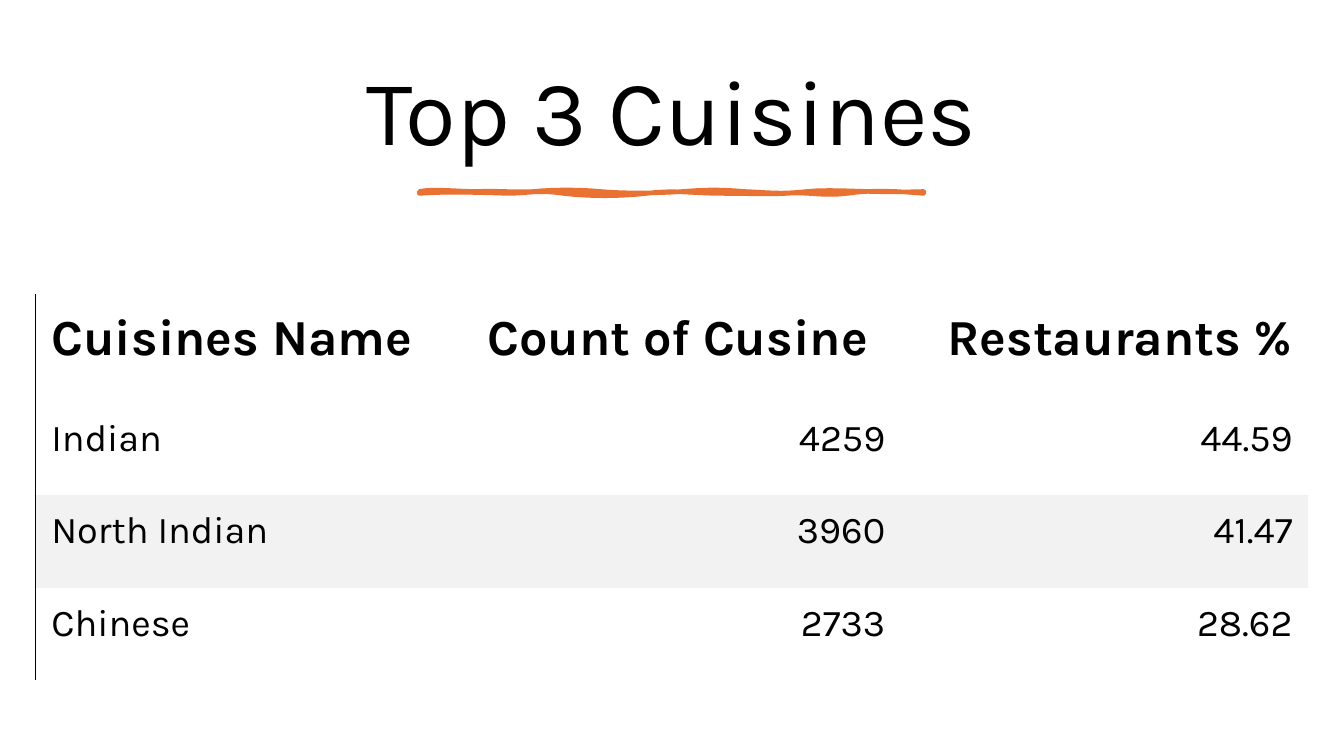
from lxml.etree import SubElement
from pptx import Presentation
from pptx.dml.color import RGBColor
from pptx.enum.text import MSO_ANCHOR, PP_ALIGN
from pptx.oxml.ns import qn
from pptx.util import Inches, Pt

COLORS = {"text": "000000", "accent": "E97132", "band": "F2F2F2"}
FONT = "Karla"
NO_STYLE_NO_GRID = "{2D5ABB26-0587-4C30-8999-92F81FD0307C}"

TITLE = "Top 3 Cuisines"
ROWS = [
    ("Cuisines Name", "Count of Cusine", "Restaurants %"),
    ("Indian", "4259", "44.59"),
    ("North Indian", "3960", "41.47"),
    ("Chinese", "2733", "28.62"),
]
BANDED_ROW = 2
COLUMN_WIDTHS = (4.15, 4.43, 4.04)
ROW_HEIGHTS = (1.07, 0.92, 0.92, 0.92)
HEADER_ALIGNS = (PP_ALIGN.LEFT, PP_ALIGN.CENTER, PP_ALIGN.RIGHT)
BODY_ALIGNS = (PP_ALIGN.LEFT, PP_ALIGN.RIGHT, PP_ALIGN.RIGHT)
CELL_FORMAT = {
    "margin_left": Inches(0.16), "margin_top": Inches(0.05),
    "margin_right": Inches(0.15), "margin_bottom": Inches(0.34),
    "vertical_anchor": MSO_ANCHOR.BOTTOM,
}

# Hand-drawn underline: each curve is two control points and an end point
BRUSH_START = (4.16, 1.9)
BRUSH_OUTLINE = [
    (4.28, 1.87, 4.54, 1.9, 4.73, 1.9), (4.92, 1.89, 5.09, 1.91, 5.29, 1.9),
    (5.49, 1.88, 5.74, 1.88, 5.96, 1.9), (6.17, 1.92, 6.53, 1.92, 6.77, 1.9),
    (7.02, 1.88, 7.14, 1.88, 7.39, 1.9), (7.63, 1.91, 7.74, 1.93, 8, 1.9),
    (8.26, 1.87, 8.67, 1.92, 9.16, 1.9), (9.17, 1.91, 9.16, 1.91, 9.16, 1.92),
    (8.95, 1.9, 8.65, 1.88, 8.4, 1.92), (8.15, 1.95, 8.01, 1.9, 7.79, 1.92),
    (7.56, 1.93, 7.47, 1.92, 7.17, 1.92), (6.87, 1.92, 6.67, 1.88, 6.41, 1.92),
    (6.14, 1.95, 5.85, 1.95, 5.59, 1.92), (5.34, 1.88, 5.23, 1.92, 5.03, 1.92),
    (4.83, 1.91, 4.38, 1.9, 4.16, 1.92), (4.16, 1.91, 4.16, 1.9, 4.16, 1.9),
]
BRUSH_STEPS = 8


def color(name):
    return RGBColor.from_string(COLORS[name])


def set_text(text_frame, text, size, align, bold=False):
    paragraph = text_frame.paragraphs[0]
    paragraph.alignment = align
    run = paragraph.add_run()
    run.text = text
    for name, value in {"name": FONT, "size": Pt(size), "bold": bold}.items():
        setattr(run.font, name, value)
    run.font.color.rgb = color("text")
    return paragraph


def curve_points(start, curves):
    """Sample the chain of cubic curves as points in EMU."""
    points = []
    x0, y0 = start
    for x1, y1, x2, y2, x3, y3 in curves:
        for step in range(1, BRUSH_STEPS + 1):
            t = step / BRUSH_STEPS
            weights = ((1 - t) ** 3, 3 * t * (1 - t) ** 2, 3 * t * t * (1 - t), t ** 3)
            points.append(tuple(
                Inches(sum(weight * value for weight, value in zip(weights, values)))
                for values in ((x0, x1, x2, x3), (y0, y1, y2, y3))))
        x0, y0 = x3, y3
    return points


def add_title(slide):
    title = slide.shapes.title
    box = {"left": 0.7, "top": 0.46, "width": 11.93, "height": 1.37}
    for name, value in box.items():
        setattr(title, name, Inches(value))
    title.text_frame.vertical_anchor = MSO_ANCHOR.MIDDLE
    set_text(title.text_frame, TITLE, 66, PP_ALIGN.CENTER).line_spacing = 0.9


def add_underline(slide):
    builder = slide.shapes.build_freeform(*(Inches(value) for value in BRUSH_START))
    builder.add_line_segments(curve_points(BRUSH_START, BRUSH_OUTLINE), close=True)
    underline = builder.convert_to_shape()
    underline.shadow.inherit = False
    underline.fill.solid()
    underline.fill.fore_color.rgb = color("accent")
    underline.line.color.rgb = color("accent")
    underline.line.width = Pt(3.25)


def add_left_border(cell):
    properties = cell._tc.get_or_add_tcPr()
    line = SubElement(properties, qn("a:lnL"), w=str(Pt(0.75)))
    fill = SubElement(line, qn("a:solidFill"))
    SubElement(fill, qn("a:srgbClr"), val=COLORS["text"])


def add_cuisine_table(slide):
    frame = slide.shapes.add_table(
        len(ROWS), len(COLUMN_WIDTHS), Inches(0.35), Inches(2.92),
        Inches(sum(COLUMN_WIDTHS)), Inches(sum(ROW_HEIGHTS)))
    table = frame.table
    table.first_row = table.horz_banding = False
    next(table._tbl.iter(qn("a:tableStyleId"))).text = NO_STYLE_NO_GRID
    for column, width in zip(table.columns, COLUMN_WIDTHS):
        column.width = Inches(width)
    for row, height in zip(table.rows, ROW_HEIGHTS):
        row.height = Inches(height)
    for row_index, texts in enumerate(ROWS):
        header = row_index == 0
        aligns = HEADER_ALIGNS if header else BODY_ALIGNS
        for column_index, (text, align) in enumerate(zip(texts, aligns)):
            cell = table.cell(row_index, column_index)
            for name, value in CELL_FORMAT.items():
                setattr(cell, name, value)
            set_text(cell.text_frame, text, 36 if header else 27, align, header)
            if column_index == 0:
                add_left_border(cell)
            if row_index == BANDED_ROW:
                cell.fill.solid()
                cell.fill.fore_color.rgb = color("band")
            else:
                cell.fill.background()


def main():
    presentation = Presentation()
    presentation.slide_width = Inches(13.33)
    presentation.slide_height = Inches(7.5)
    slide = presentation.slides.add_slide(presentation.slide_layouts[5])
    add_title(slide)
    add_underline(slide)
    add_cuisine_table(slide)
    presentation.save("out.pptx")


if __name__ == "__main__":
    main()
